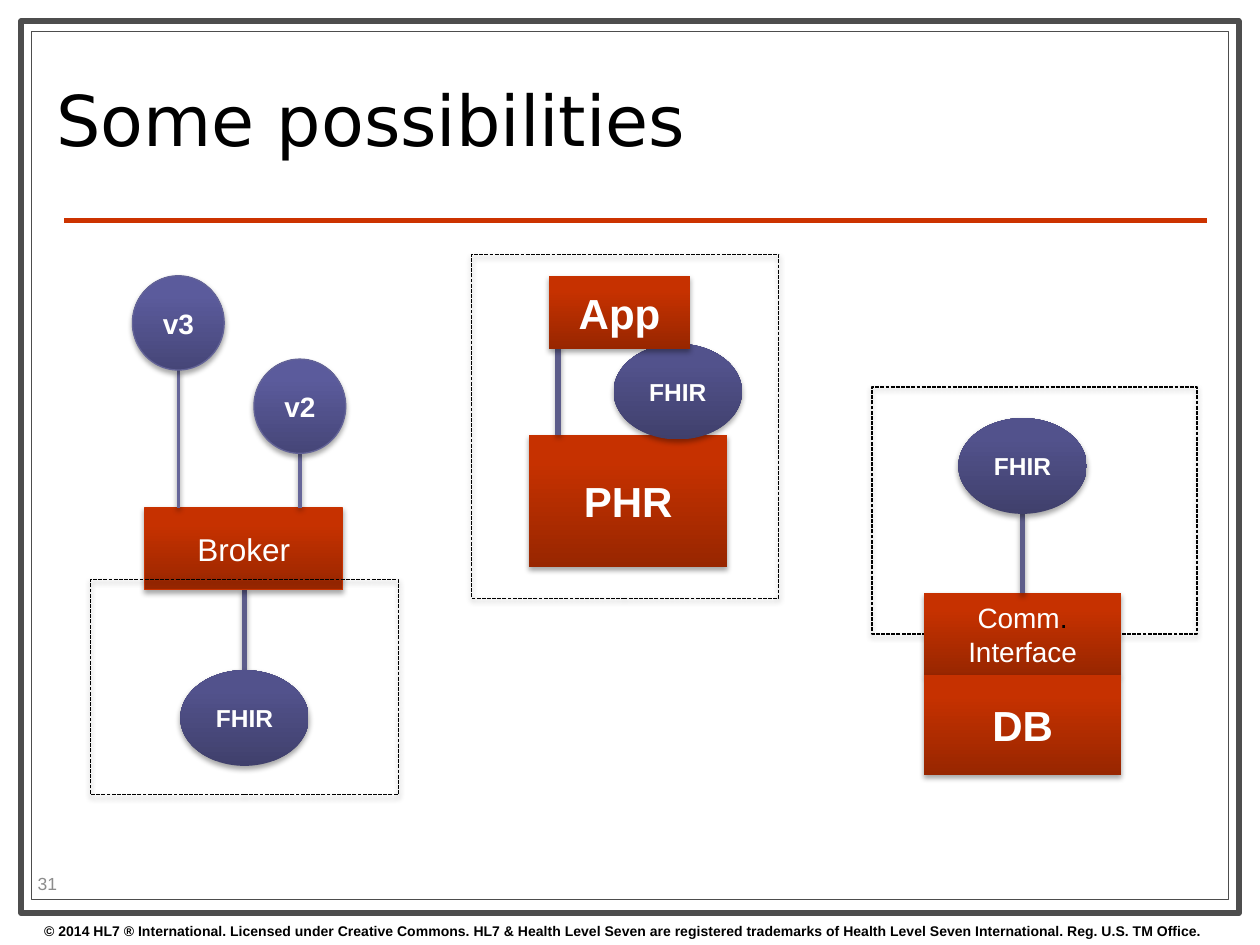
from copy import deepcopy

from lxml.etree import SubElement
from pptx import Presentation
from pptx.dml.color import RGBColor
from pptx.enum.dml import MSO_LINE
from pptx.enum.shapes import MSO_CONNECTOR, MSO_SHAPE
from pptx.enum.text import MSO_ANCHOR, PP_ALIGN
from pptx.oxml.ns import qn
from pptx.util import Cm, Pt

HUES = {
    "black": "000000", "white": "FFFFFF", "gray": "4D4D4D", "page": "8C8C8C",
    "rule": "CC3300", "edge": "C83200", "rim": "636397",
    "stem": "666699", "link": "5C5C8A",
}
FADES = {
    "red": ("982600", "C63100", "C73200"),
    "dark": ("40406C", "52528C", "52528E"),
    "light": ("464678", "5B5B9C", "5B5B9E"),
}
DEEP = (35, 1.8)
SOFT = (38, 1.6)
FHIR = (2.59, 1.93)
BALL = (1.85, 1.9)
WIDE = 3.99


def tint(name):
    """Return the named colour."""
    return RGBColor.from_string(HUES[name])


def shade(item, kind):
    """Give an item a soft shadow below it, or none."""
    props = item._element.spPr
    list_ = props.find(qn("a:effectLst"))
    if list_ is None:
        list_ = SubElement(props, qn("a:effectLst"))
    if kind:
        alpha, gap = kind
        cast = SubElement(list_, qn("a:outerShdw"), blurRad=str(Pt(3.1)),
                          dist=str(Pt(gap)), dir="5400000", rotWithShape="0")
        color = SubElement(cast, qn("a:srgbClr"), val=HUES["black"])
        SubElement(color, qn("a:alpha"), val=str(alpha * 1000))


def fade(fill, name):
    """Fill from dark at the foot to bright at the top."""
    fill.gradient()
    fill.gradient_angle = 90
    last = fill.gradient_stops[-1]._gs
    last.addnext(deepcopy(last))
    for stop, spot, hue in zip(fill.gradient_stops, (0, 0.8, 1), FADES[name]):
        stop.position = spot
        stop.color.rgb = RGBColor.from_string(hue)


def write(frame, lines, size, bold=False, font="Arial", align=None):
    """Write lines, each a list of (text, colour) runs."""
    frame.word_wrap = True
    frame.vertical_anchor = MSO_ANCHOR.MIDDLE
    for spot, runs in enumerate(lines):
        para = frame.add_paragraph() if spot else frame.paragraphs[0]
        para.alignment = align
        for text, hue in runs:
            run = para.add_run()
            run.text = text
            run.font.name = font
            run.font.size = Pt(size)
            run.font.bold = bold
            run.font.color.rgb = tint(hue)


def label(slide, box, text, size, hue="black", **style):
    """Place a text box holding one line."""
    frame = slide.shapes.add_textbox(*map(Cm, box)).text_frame
    write(frame, [[(text, hue)]], size, **style)
    return frame


def shape(slide, kind, box, line=None, width=0.75, cast=None):
    """Place an unfilled shape with an outline or none."""
    item = slide.shapes.add_shape(kind, *map(Cm, box))
    item.shadow.inherit = False
    item.fill.background()
    if line:
        item.line.color.rgb = tint(line)
        item.line.width = Pt(width)
    else:
        item.line.fill.background()
    shade(item, cast)
    return item


def node(slide, kind, box, hue, lines, size, bold=True, line=None):
    """Place a shaded block with centred text."""
    item = shape(slide, kind, box, line, cast=DEEP)
    fade(item.fill, hue)
    frame = item.text_frame
    frame.margin_left = frame.margin_right = 0
    frame.margin_top = frame.margin_bottom = 0
    write(frame, lines, size, bold, align=PP_ALIGN.CENTER)


def block(slide, box, lines, size=24, **style):
    """Place a red block."""
    node(slide, MSO_SHAPE.RECTANGLE, box, "red", lines, size, **style)


def fhir(slide, x, y):
    """Place a FHIR oval."""
    node(slide, MSO_SHAPE.OVAL, (x, y, *FHIR), "dark", [[("FHIR", "white")]], 14)


def scope(slide, box):
    """Place a dashed outline."""
    item = shape(slide, MSO_SHAPE.RECTANGLE, box, "black", cast=SOFT)
    item.line.dash_style = MSO_LINE.SQUARE_DOT


def join(slide, start, end, hue="link", width=3, cast=DEEP):
    """Draw a straight line between two points."""
    item = slide.shapes.add_connector(MSO_CONNECTOR.STRAIGHT, *map(Cm, start + end))
    item.line.color.rgb = tint(hue)
    item.line.width = Pt(width)
    shade(item, cast)


def base(slide, w, h):
    """Place borders, rule, title, page number and footer."""
    for inset, foot, width in ((0.43, 0.64, 3.5), (0.64, 0.91, 0.75)):
        box = (inset, inset, w - 2 * inset, h - inset - foot)
        edge = shape(slide, MSO_SHAPE.RECTANGLE, box, "gray", width)
        edge.fill.solid()
        edge.fill.fore_color.rgb = tint("white")
    join(slide, (1.3, 4.45), (24.33, 4.45), "rule", cast=None)
    label(slide, (0.64, h - 0.58, w, 0.58),
          "© 2014 HL7 ® International. Licensed under Creative Commons. "
          "HL7 & Health Level Seven are registered trademarks of "
          "Health Level Seven International. Reg. U.S. TM Office.", 8, bold=True)
    title = label(slide, (0.89, 0.91, 18.21, 3.28), "Some possibilities", 40,
                  font="DejaVu Sans")
    title.paragraphs[0].line_spacing = 0.8
    label(slide, (0.51, 17.5, 2.01, 0.61), "31", 10, "page")


def broker(slide, x, y, w, h):
    """Place the broker with its feeds and FHIR side."""
    mid, top, low = x + w / 2, y + 4.68, y + 7.95
    join(slide, (mid, low), (mid, top + 1.65))
    fhir(slide, mid - FHIR[0] / 2, low)
    block(slide, (x + 1.09, top, WIDE, 1.65), [[("Broker", "white")]], 18,
          bold=False, line="edge")
    scope(slide, (x, y + 6.12, w, h - 6.12))
    for text, left, drop in (("v3", 0.84, 0), ("v2", 3.29, 1.68)):
        stem = x + left + BALL[0] / 2
        join(slide, (stem, top), (stem, y + drop + BALL[1]), "stem", 2, SOFT)
        node(slide, MSO_SHAPE.OVAL, (x + left, y + drop, *BALL), "light",
             [[(text, "white")]], 16, line="rim")


def record(slide, x, y, w, h):
    """Place the app above the PHR with FHIR between."""
    block(slide, (x + 1.17, y + 3.63, WIDE, 2.67), [[("PHR", "white")]])
    join(slide, (x + 1.75, y + 3.63), (x + 1.75, y + 1.83))
    scope(slide, (x, y, w, h))
    fhir(slide, x + 2.87, y + 1.8)
    block(slide, (x + 1.57, y + 0.43, 2.84, 1.47), [[("App", "white")]])


def store(slide, x, y, w, h):
    """Place the database with its interface and FHIR."""
    left, top, tall = x + 1.04, y + 4.16, 1.65
    mid = left + WIDE / 2
    scope(slide, (x, y, w, h))
    block(slide, (left, top, WIDE, tall),
          [[("Comm", "white"), (".", "black")], [("Interface", "white")]],
          16, bold=False)
    block(slide, (left, top + tall, WIDE, 2.01), [[("DB", "white")]])
    join(slide, (mid, top), (mid, y + 2.56))
    fhir(slide, mid - FHIR[0] / 2, y + 0.63)


def main():
    """Build and save the slide."""
    deck = Presentation()
    wide, high = 25.4, 19.05
    deck.slide_width, deck.slide_height = Cm(wide), Cm(high)
    slide = deck.slides.add_slide(deck.slide_layouts[6])
    base(slide, wide, high)
    broker(slide, 1.83, 5.56, 6.2, 10.46)
    record(slide, 9.5, 5.13, 6.2, 6.93)
    store(slide, 17.58, 7.8, 6.55, 4.98)
    deck.save("out.pptx")


if __name__ == "__main__":
    main()
